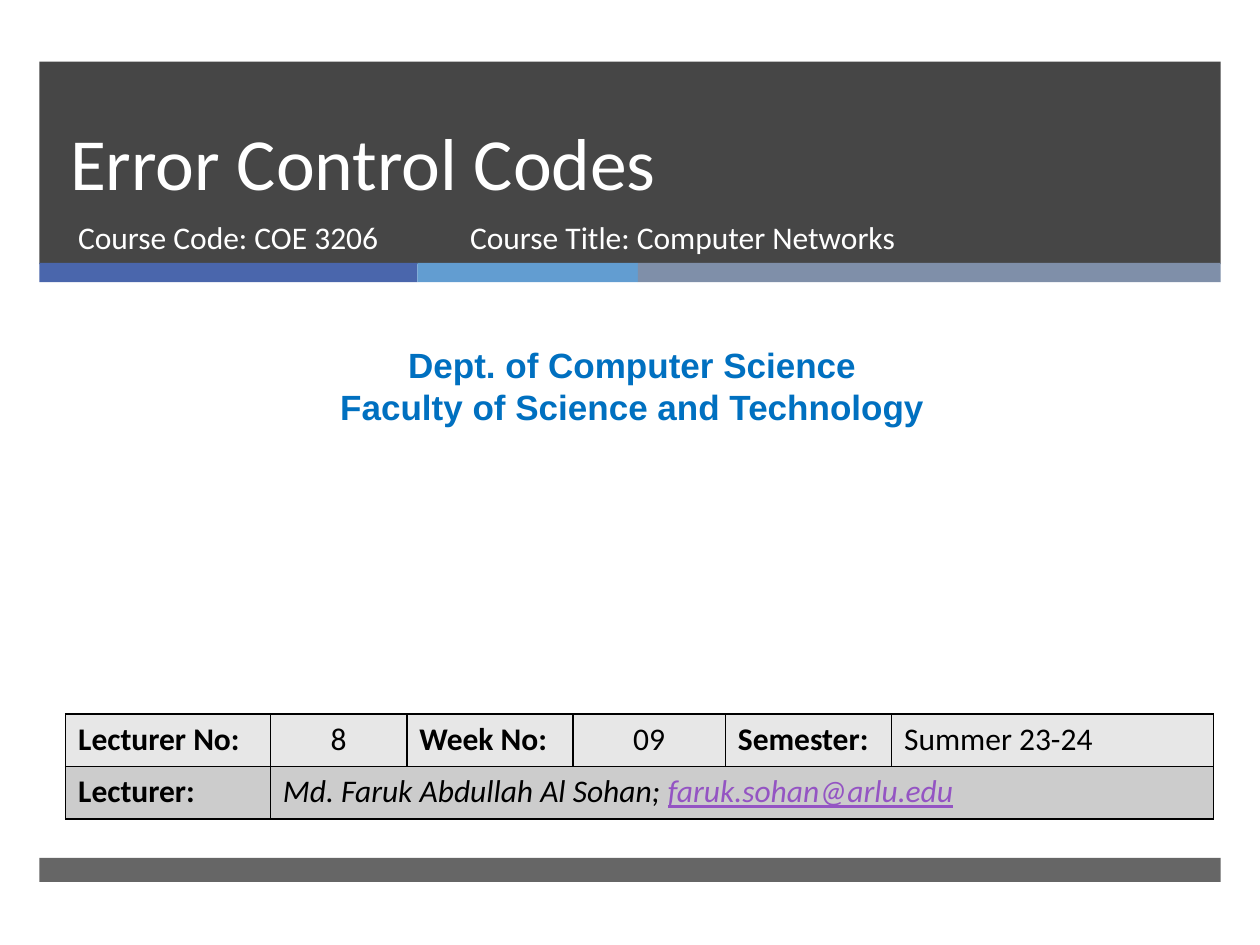
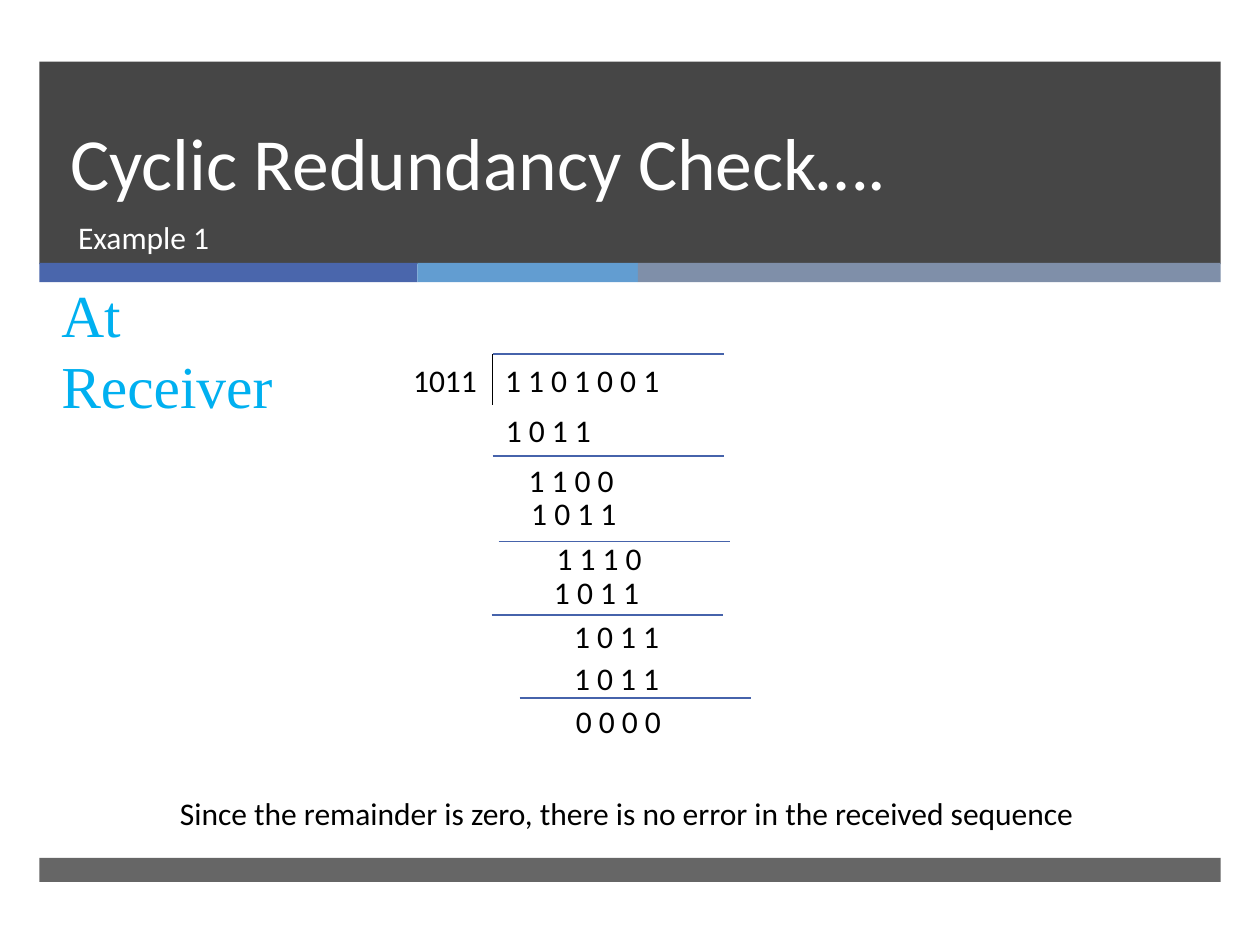
import dataclasses
import lxml.etree
import pptx
import pptx.dml.color
import pptx.enum.shapes
import pptx.enum.text
import pptx.oxml.ns

Pt = pptx.util.Pt
qn = pptx.oxml.ns.qn
Align = pptx.enum.text.PP_ALIGN
Anchor = pptx.enum.text.MSO_ANCHOR


@dataclasses.dataclass(frozen=True)
class Theme:
    dark: str = "262626"
    strips: tuple = ("4A66AC", "629DD1", "7F8FA9")
    white: str = "FFFFFF"
    black: str = "000000"
    rule: str = "4663AB"
    dept: str = "0070C0"
    side: str = "00B0F0"
    link: str = "9454C3"
    pale: str = "E7E7E7"
    grey: str = "CCCCCC"
    title: float = 42
    lead: float = 46
    body: float = 18
    unit: float = 20
    note: float = 34
    font: str = "Calibri"
    sans: str = "Arial"
    serif: str = "Times New Roman"


THEME = Theme()


def tint(value):
    return pptx.dml.color.RGBColor.from_string(value)


def add_run(para, text, color=THEME.black, size=THEME.body, face=THEME.font,
            bold=False, slant=False, under=False):
    run = para.add_run()
    run.text = text
    font = run.font
    font.name, font.size = face, Pt(size)
    font.color.rgb = tint(color)
    font.bold, font.italic, font.underline = bold, slant, under


def add_text(slide, box, lines, align=Align.LEFT, anchor=Anchor.TOP,
             lead=None, wrap=True, **style):
    frame = slide.shapes.add_textbox(*map(Pt, box)).text_frame
    frame.word_wrap = wrap
    frame.vertical_anchor = anchor
    for place, line in enumerate(lines):
        para = frame.add_paragraph() if place else frame.paragraphs[0]
        para.alignment = align
        if lead:
            para.line_spacing = Pt(lead)
        add_run(para, line, **style)


def add_band(slide, box, color, alpha=100):
    band = slide.shapes.add_shape(
        pptx.enum.shapes.MSO_SHAPE.RECTANGLE, *map(Pt, box))
    band.shadow.inherit = False
    band.fill.solid()
    band.fill.fore_color.rgb = tint(color)
    band.line.fill.background()
    if alpha < 100:
        mark = next(band.fill._xPr.iter(qn("a:srgbClr")))
        lxml.etree.SubElement(mark, qn("a:alpha"), val=str(alpha * 1000))


def add_line(slide, start, end, color):
    line = slide.shapes.add_connector(
        pptx.enum.shapes.MSO_CONNECTOR.STRAIGHT, *map(Pt, start + end))
    line.line.color.rgb = tint(color)
    line.line.width = Pt(1)
    lxml.etree.SubElement(line._element.spPr, qn("a:effectLst"))


def add_frame(deck, title):
    slide = deck.slides.add_slide(deck.slide_layouts[6])
    left, width = 22.5, 675
    add_band(slide, (left, 35.25, width, 115.75), THEME.dark, 85)
    x = left
    for span, color in zip((216, 126, 333), THEME.strips):
        add_band(slide, (x, 150.25, span, 11), color)
        x += span
    add_band(slide, (left, 490.25, width, 13.75), THEME.dark, 70)
    add_text(slide, (33, 35.5, 615, 85.5), [title], anchor=Anchor.BOTTOM,
             lead=THEME.lead, color=THEME.white, size=THEME.title)
    return slide


def add_sub(slide, x, width, text):
    add_text(slide, (x, 121, width, 38), [text], color=THEME.white)


def paint_cell(cell, color):
    cell.fill.solid()
    cell.fill.fore_color.rgb = tint(color)
    props = cell._tc.get_or_add_tcPr()
    for place, side in enumerate(("a:lnL", "a:lnR", "a:lnT", "a:lnB")):
        edge = lxml.etree.Element(qn(side), w=str(Pt(1)))
        fill = lxml.etree.SubElement(edge, qn("a:solidFill"))
        lxml.etree.SubElement(fill, qn("a:srgbClr"), val=THEME.black)
        props.insert(place, edge)


def add_facts(slide):
    widths = (117, 78, 95, 87, 95, 184)
    high = 30
    grid = slide.shapes.add_table(
        2, len(widths), Pt(37.5), Pt(408), Pt(sum(widths)), Pt(2 * high)).table
    grid.first_row = grid.horz_banding = False
    for col, width in zip(grid.columns, widths):
        col.width = Pt(width)
    for row, color in zip(grid.rows, (THEME.pale, THEME.grey)):
        row.height = Pt(high)
        for cell in row.cells:
            paint_cell(cell, color)
    facts = ("Lecturer No:", "8", "Week No:", "09", "Semester:", "Summer 23-24")
    for place, fact in enumerate(facts):
        para = grid.cell(0, place).text_frame.paragraphs[0]
        para.alignment = Align.CENTER if place in (1, 3) else Align.LEFT
        add_run(para, fact, bold=place % 2 == 0)
    add_run(grid.cell(1, 0).text_frame.paragraphs[0], "Lecturer:", bold=True)
    grid.cell(1, 1).merge(grid.cell(1, 5))
    para = grid.cell(1, 1).text_frame.paragraphs[0]
    add_run(para, "Md. Faruk Abdullah Al Sohan; ", slant=True)
    add_run(para, "faruk.sohan@arlu.edu", THEME.link, slant=True, under=True)


def add_steps(slide):
    left, top, high = 281.5, 202.5, 29
    steps = (
        ("1011", 229, top),
        ("1 1 0 1 0 0 1", left, top),
        ("1 0 1 1", 282, 231.5),
        ("1 1 0 0", 295, 260),
        ("1 0 1 1", 296.5, 278.5),
        ("1 1 1 0", 311, 304.5),
        ("1 0 1 1", 309.5, 324),
        ("1 0 1 1", 321, 349),
        ("1 0 1 1", 321, 373),
        ("0 0 0 0", 322, 397.5),
    )
    for bits, x, y in steps:
        width = 104 if len(bits) > 7 else 69
        add_text(slide, (x, y, width, high), [bits])
    add_line(slide, (left, top), (left, top + high), THEME.black)
    rules = ((left, top), (left, 260.5), (285, 309.5), (281, 351.5), (297, 399))
    for x, y in rules:
        add_line(slide, (x, y), (x + 132, y), THEME.rule)


def build_cover(deck):
    slide = add_frame(deck, "Error Control Codes")
    add_sub(slide, 37.5, 219.5, "Course Code: COE 3206")
    add_sub(slide, 261.5, 327.5, "Course Title: Computer Networks")
    add_text(slide, (6, 193, 710.5, 55.5),
             ["Dept. of Computer Science", "Faculty of Science and Technology"],
             align=Align.CENTER, color=THEME.dept, size=THEME.unit,
             face=THEME.sans, bold=True)
    add_facts(slide)


def build_check(deck):
    slide = add_frame(deck, "Cyclic Redundancy Check….")
    add_sub(slide, 37.5, 610.5, "Example 1")
    add_steps(slide)
    add_text(slide, (95.75, 450, 532, 29),
             ["Since the remainder is zero, there is no error "
              "in the received sequence"], wrap=False)
    add_text(slide, (28, 155.5, 161, 48), ["At Receiver"], lead=40.5,
             color=THEME.side, size=THEME.note, face=THEME.serif)


def main():
    deck = pptx.Presentation()
    deck.slide_width, deck.slide_height = Pt(720), Pt(540)
    build_cover(deck)
    build_check(deck)
    deck.save("out.pptx")


if __name__ == "__main__":
    main()
